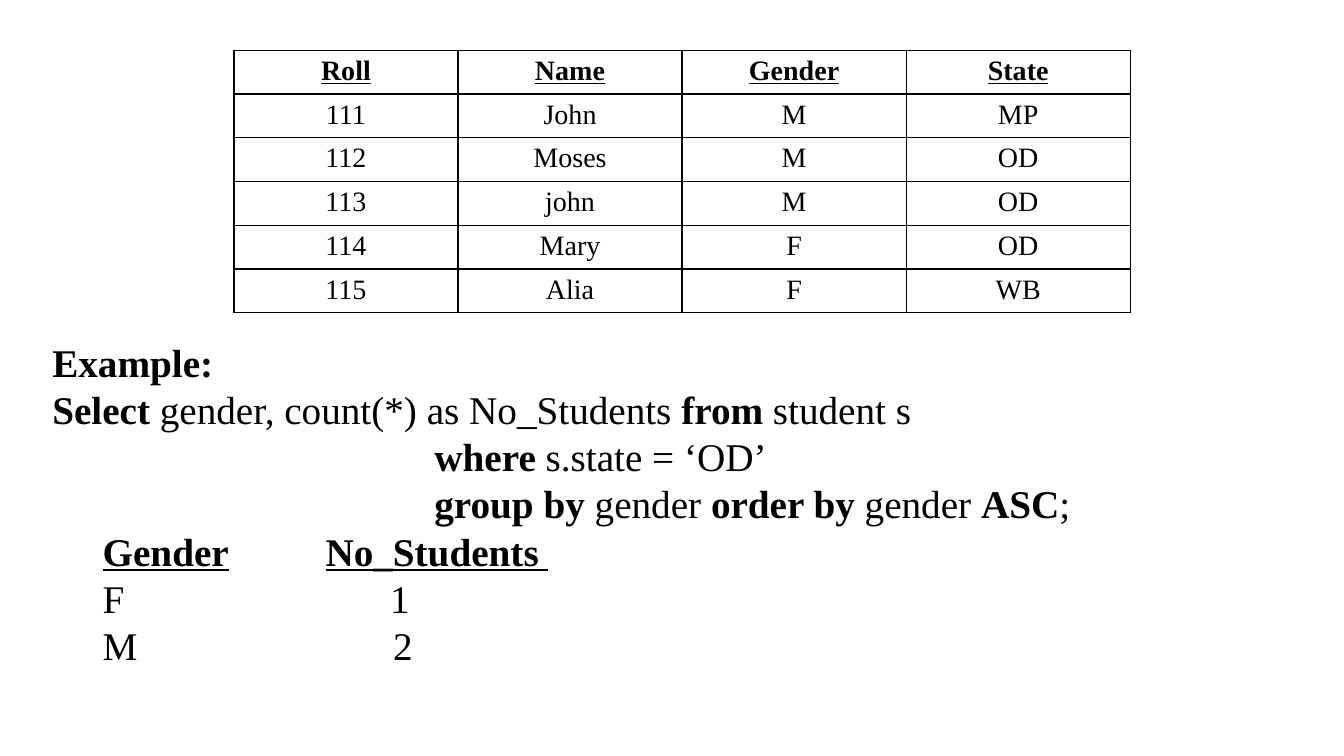
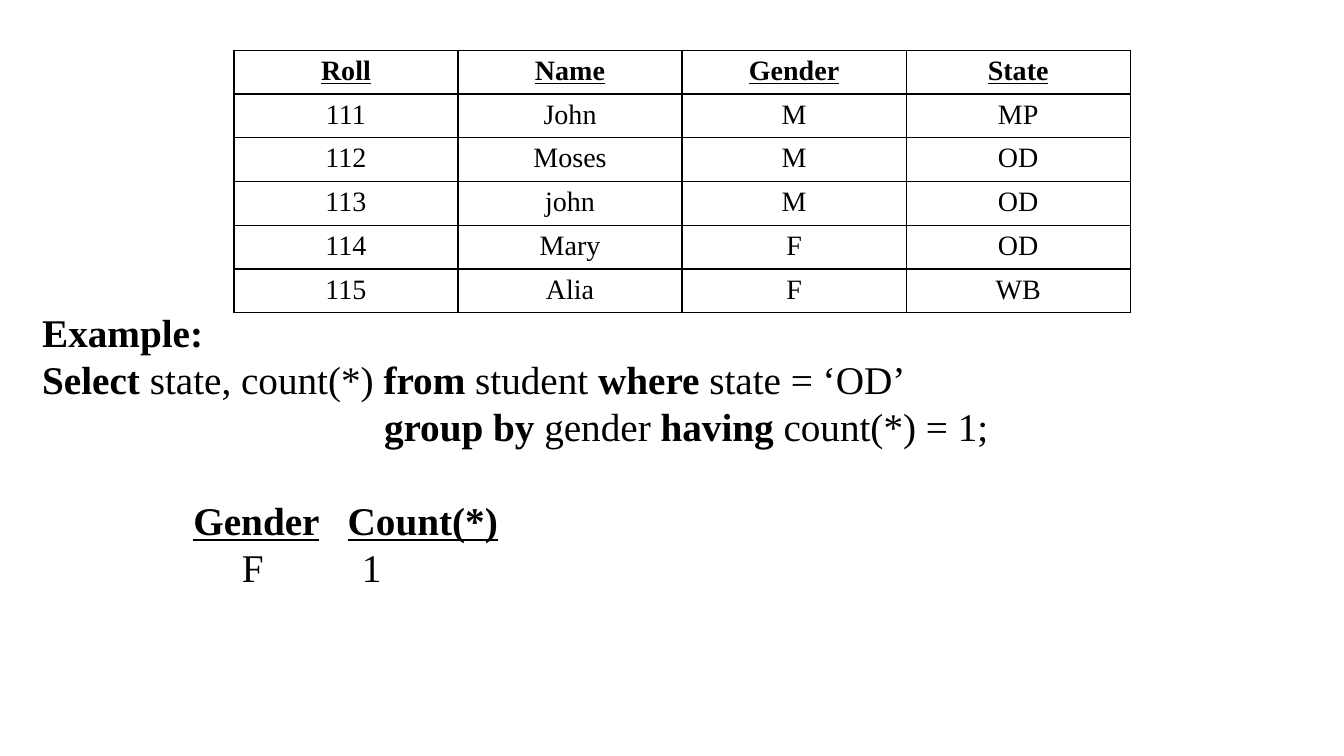
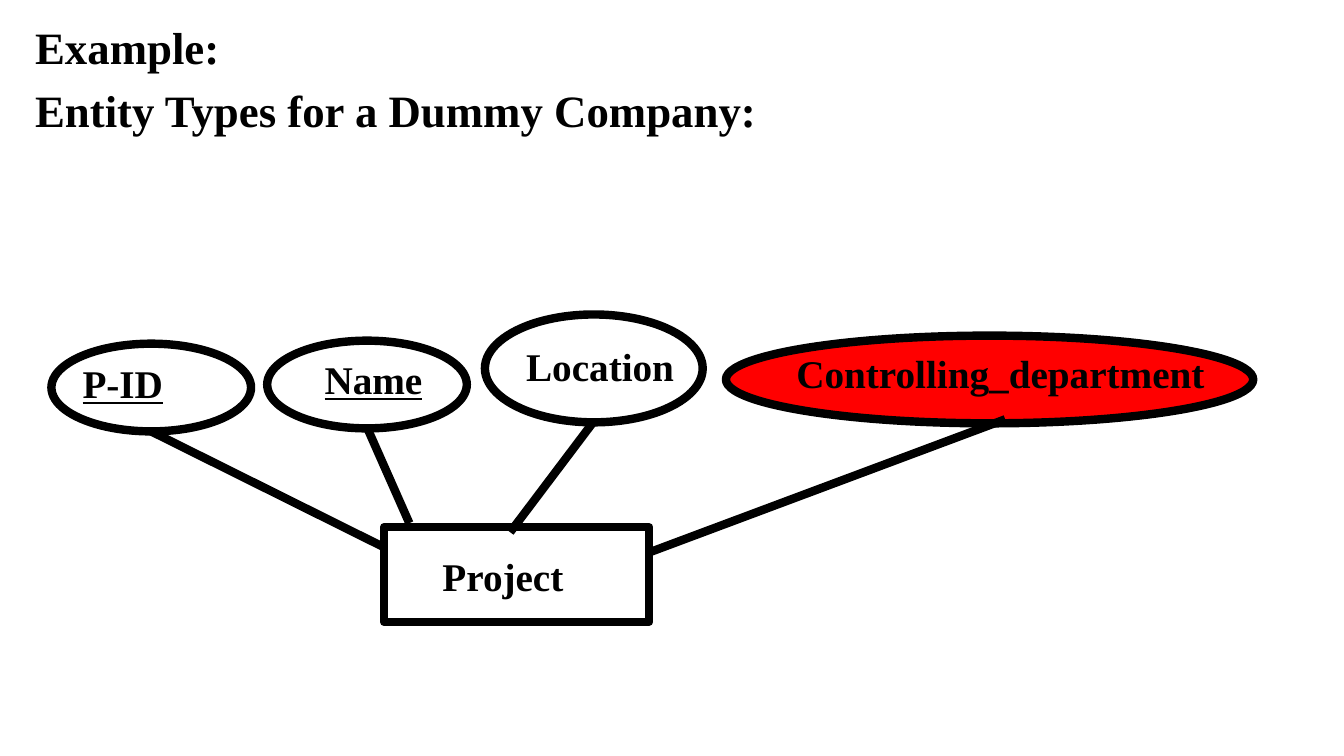
from lxml.etree import SubElement
from pptx import Presentation
from pptx.dml.color import RGBColor
from pptx.enum.shapes import MSO_CONNECTOR as Connector, MSO_SHAPE as Shape
from pptx.enum.text import MSO_AUTO_SIZE as AutoSize, PP_ALIGN as Align
from pptx.oxml.ns import qn
from pptx.util import Pt

PX = 9144
FONT = "Times New Roman"
BLACK = RGBColor(0, 0, 0)
WHITE = RGBColor(255, 255, 255)
RED = RGBColor(255, 0, 0)
BODY_SIZE, TITLE_SIZE, CELL_SIZE, STROKE = 28, 32, 20, 6
BLANK_LINE = 33.6

STUDENTS = [
    ("Roll", "Name", "Gender", "State"),
    ("111", "John", "M", "MP"),
    ("112", "Moses", "M", "OD"),
    ("113", "john", "M", "OD"),
    ("114", "Mary", "F", "OD"),
    ("115", "Alia", "F", "WB"),
]


def px(*lengths):
    """Turn px lengths into EMU."""
    return [length * PX for length in lengths]


def add_spans(para, spans, size):
    """Add (text, style) runs; style holds b for bold and u for underline."""
    for text, style in spans:
        span = para.add_run()
        span.text = text
        span.font.name, span.font.size = FONT, Pt(size)
        span.font.color.rgb = BLACK
        span.font.bold = "b" in style
        span.font.underline = "u" in style


def add_text(page, area, lines, size=BODY_SIZE, wrap=True, fit=AutoSize.SHAPE_TO_FIT_TEXT):
    """Add a text box and return its paragraphs, one for each list of spans."""
    frame = page.shapes.add_textbox(*px(*area)).text_frame
    frame.word_wrap, frame.auto_size = wrap, fit
    for index, spans in enumerate(lines):
        para = frame.add_paragraph() if index else frame.paragraphs[0]
        add_spans(para, spans, size)
    return frame.paragraphs


def set_indent(para, left):
    """Indent a whole paragraph."""
    props = para._p.get_or_add_pPr()
    props.set("marL", str(left * PX))
    props.set("indent", "0")


def set_tabs(para, stops):
    """Give a paragraph left tab stops."""
    tabs = SubElement(para._p.get_or_add_pPr(), qn("a:tabLst"))
    for stop in stops:
        SubElement(tabs, qn("a:tab"), pos=str(stop * PX), algn="l")


def set_borders(cell, widths):
    """Draw black borders with widths in points for left, right, top and bottom."""
    props = cell._tc.get_or_add_tcPr()
    for index, (side, width) in enumerate(zip("LRTB", widths)):
        line = props.makeelement(qn(f"a:ln{side}"), w=str(Pt(width)))
        fill = SubElement(line, qn("a:solidFill"))
        SubElement(fill, qn("a:srgbClr"), val=str(BLACK))
        props.insert(index, line)


def add_student_table(page):
    """Add the student table with its underlined header row."""
    table = page.shapes.add_table(len(STUDENTS), len(STUDENTS[0]), *px(232, 50, 889, 260)).table
    for row, record in enumerate(STUDENTS):
        top, bottom = 1.5 if row == 1 else 1, 1.5 if row == 0 else 1
        for column, text in enumerate(record):
            cell = table.cell(row, column)
            cell.fill.background()
            set_borders(cell, (1, 1, top, bottom))
            para = cell.text_frame.paragraphs[0]
            para.alignment = Align.CENTER
            add_spans(para, [(text, "" if row else "bu")], CELL_SIZE)


def add_query_page(deck, corner, query, indent, result, stops):
    """Add a page with the student table, a query and its tabbed result."""
    page = deck.slides.add_slide(deck.slide_layouts[6])
    paras = add_text(page, (*corner, 1268, 340), query + result)
    for para in paras[2:len(query)]:
        set_indent(para, indent)
    rows = paras[len(query):]
    for para, row_stops in zip(rows, stops):
        set_tabs(para, row_stops)
    add_student_table(page)
    return rows


def add_node(page, kind, area, fill=WHITE):
    """Add a diagram shape with a heavy black outline."""
    node = page.shapes.add_shape(kind, *px(*area))
    node.shadow.inherit = False
    node.fill.solid()
    node.fill.fore_color.rgb = fill
    node.line.color.rgb, node.line.width = BLACK, Pt(STROKE)


def add_label(page, area, text, style="b"):
    """Add a one-line diagram label."""
    add_text(page, area, [[(text, style)]], wrap=False)


def add_link(page, ends):
    """Add a heavy straight line."""
    link = page.shapes.add_connector(Connector.STRAIGHT, *px(*ends))
    link.line.color.rgb, link.line.width = BLACK, Pt(STROKE)
    SubElement(link._element.spPr, qn("a:effectLst"))


def add_entity_page(deck):
    """Add the Project entity with its attributes."""
    page = deck.slides.add_slide(deck.slide_layouts[6])
    add_node(page, Shape.RECTANGLE, (381, 523, 263, 94))
    titles = [[("Example:", "b")], [("Entity Types for a Dummy Company:", "b")]]
    paras = add_text(page, (25, 21, 1270, 704), titles, TITLE_SIZE, fit=AutoSize.NONE)
    for para in paras:
        para.line_spacing = 0.9
    paras[1].space_before = Pt(10)
    add_label(page, (429, 543, 142, 57), "Project")
    attributes = [
        ("P-ID", "bu", (51, 341, 198, 87), (72, 352, 101, 57), (381, 543, 150, 428), WHITE),
        ("Name", "bu", (265, 338, 198, 87), (312, 348, 118, 57), (406, 519, 364, 424), WHITE),
        ("Location", "b", (481, 312, 216, 107), (512, 335, 169, 57), (506, 528, 589, 418), WHITE),
        ("Controlling_department", "b", (720, 333, 523, 87), (780, 342, 430, 57),
         (644, 548, 997, 416), RED),
    ]
    for text, style, oval, label, ends, fill in attributes:
        add_node(page, Shape.OVAL, oval, fill)
        add_label(page, label, text, style)
        add_link(page, ends)


def main():
    """Build and save the deck."""
    deck = Presentation()
    deck.slide_width, deck.slide_height = px(1333, 750)
    add_query_page(
        deck, (42, 331),
        [
            [("Example:", "b")],
            [("Select", "b"), (" gender, count(*) as No_Students ", ""), ("from", "b"),
             (" student s", "")],
            [("where ", "b"), ("s.state = ‘OD’", "")],
            [("group by ", "b"), ("gender ", ""), ("order by ", "b"), ("gender ", ""),
             ("ASC", "b"), (";", "")],
        ],
        379,
        [
            [("\t", ""), ("Gender\tNo_Students ", "bu")],
            [("\tF\t1", "")],
            [("\tM\t2", "")],
        ],
        [(50, 271), (50, 335), (50, 338)],
    )
    rows = add_query_page(
        deck, (32, 301),
        [
            [("Example:", "b")],
            [("Select", "b"), (" state, count(*) ", ""), ("from", "b"), (" student ", ""),
             ("where", "b"), (" state = ‘OD’", "")],
            [("group by ", "b"), ("gender ", ""), ("having", "b"), (" count(*) = 1;", "")],
        ],
        339,
        [
            [("\t", ""), ("Gender\tCount(*)", "bu")],
            [("\tF\t1", "")],
        ],
        [(150, 303), (198, 317)],
    )
    rows[0].space_before = Pt(BLANK_LINE)
    add_entity_page(deck)
    deck.save("out.pptx")


if __name__ == "__main__":
    main()
